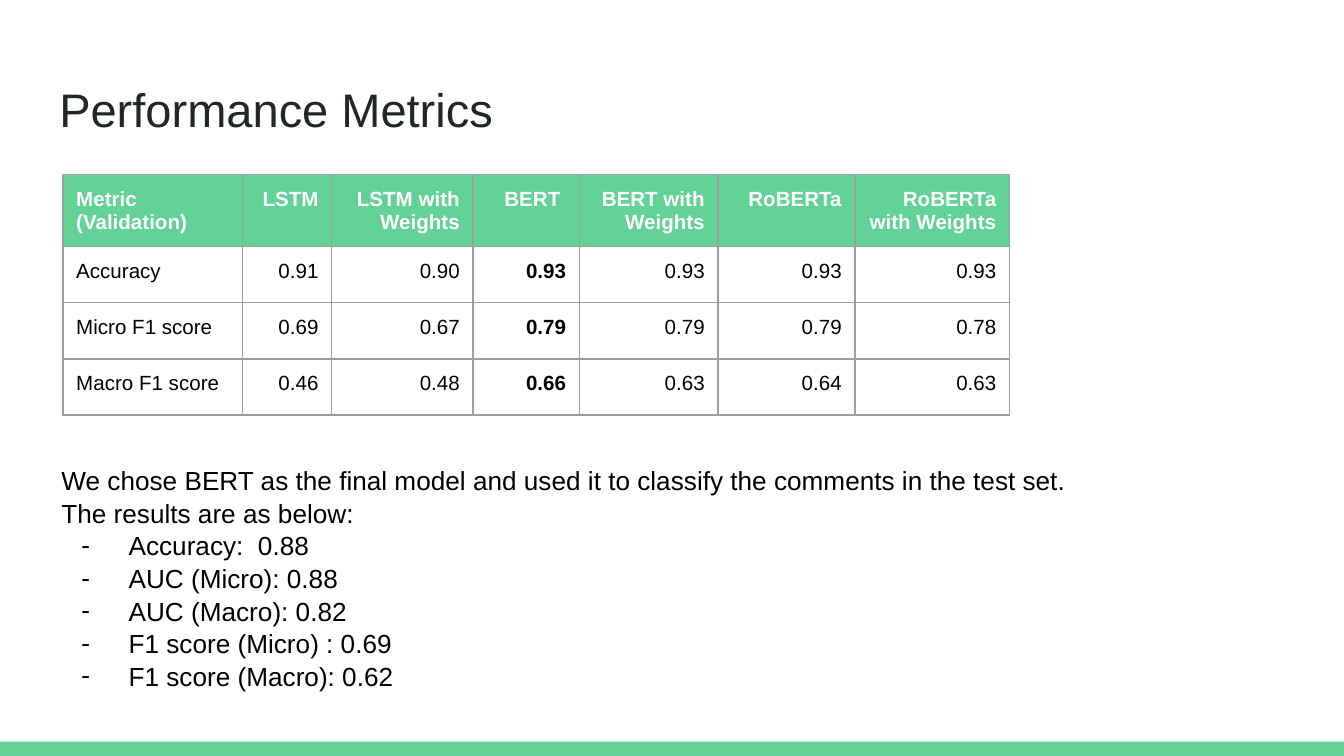
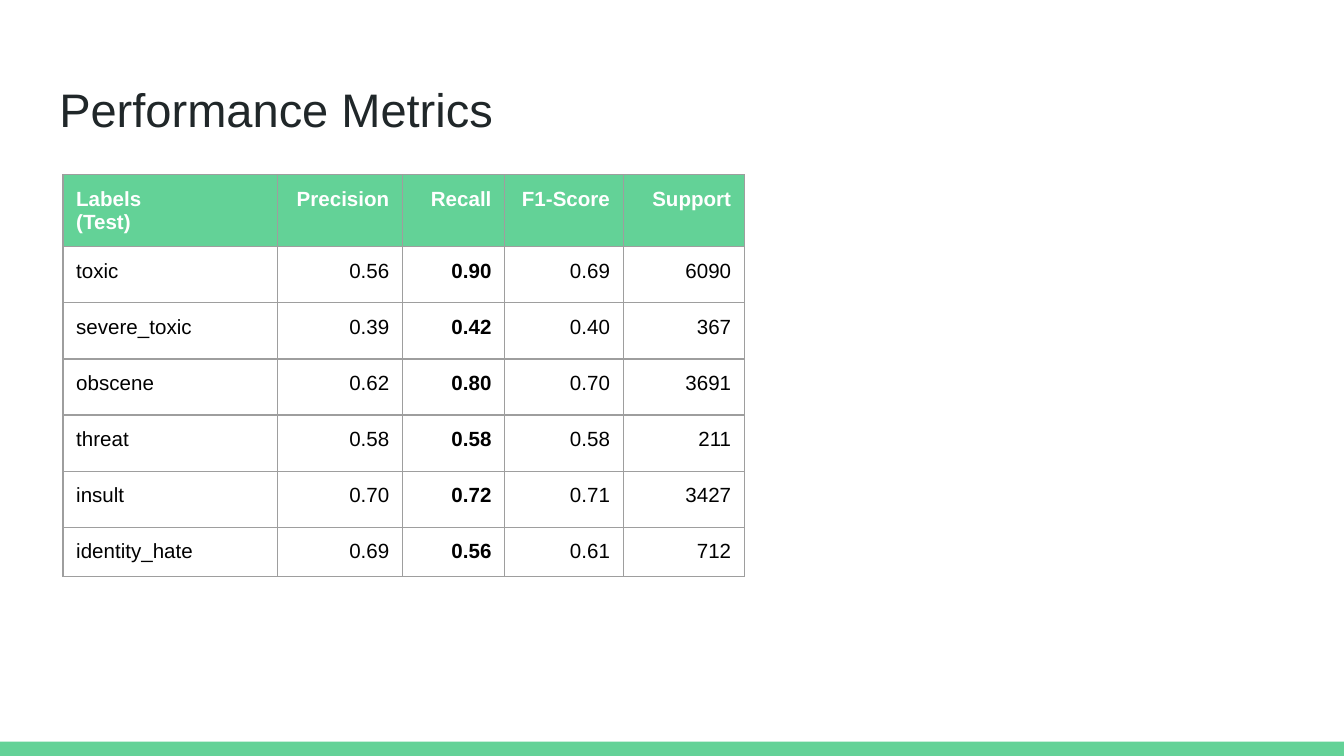
from dataclasses import dataclass
from typing import Sequence

from lxml.etree import SubElement
from pptx import Presentation
from pptx.dml.color import RGBColor
from pptx.enum.shapes import MSO_SHAPE
from pptx.enum.text import MSO_ANCHOR, MSO_AUTO_SIZE, PP_ALIGN
from pptx.oxml.ns import qn
from pptx.util import Cm, Pt

FONT = "Arial"
GREEN, GRAY, INK, BLACK, WHITE = "63D297", "9E9E9E", "202729", "000000", "FFFFFF"
INSET = Cm(0.25)
ROW = 1.06


@dataclass
class Grid:
    head: Sequence[str]
    rows: Sequence[Sequence[str]]
    widths: Sequence[float]
    strong: int
    last: float = ROW


@dataclass
class Page:
    title: str
    grid: Grid
    intro: str = ""
    items: Sequence[str] = ()


PAGES = [
    Page(
        "Performance Metrics",
        Grid(
            ["Metric\n(Validation)", "LSTM", "LSTM with Weights", "BERT ",
             "BERT with Weights", "RoBERTa", "RoBERTa with Weights"],
            [["Accuracy", "0.91", "0.90", "0.93", "0.93", "0.93", "0.93"],
             ["Micro F1 score", "0.69", "0.67", "0.79", "0.79", "0.79", "0.78"],
             ["Macro F1 score", "0.46", "0.48", "0.66", "0.63", "0.64", "0.63"]],
            [3.4, 1.68, 2.67, 2.01, 2.62, 2.59, 2.92],
            strong=3,
        ),
        "We chose BERT as the final model and used it to classify the comments "
        "in the test set. The results are as below:",
        ["Accuracy:  0.88", "AUC (Micro): 0.88", "AUC (Macro): 0.82",
         "F1 score (Micro) : 0.69", "F1 score (Macro): 0.62"],
    ),
    Page(
        "Performance Metrics",
        Grid(
            ["Labels\n(Test)", "Precision", "Recall", "F1-Score ", "Support"],
            [["toxic", "0.56", "0.90", "0.69", "6090"],
             ["severe_toxic", "0.39", "0.42", "0.40", "367"],
             ["obscene", "0.62", "0.80", "0.70", "3691"],
             ["threat", "0.58", "0.58", "0.58", "211"],
             ["insult", "0.70", "0.72", "0.71", "3427"],
             ["identity_hate", "0.69", "0.56", "0.61", "712"]],
            [4.06, 2.36, 1.93, 2.24, 2.29],
            strong=2,
            last=0.28,
        ),
    ),
]


def tint(code: str) -> RGBColor:
    """Turn a hex string into a colour."""
    return RGBColor.from_string(code)


def write(frame, text: str, *, size: float, color: str = BLACK, bold: bool = False,
          align=PP_ALIGN.LEFT, anchor=MSO_ANCHOR.TOP, pitch: float = 1.0) -> None:
    """Fill a text frame, one paragraph to a line of text."""
    frame.word_wrap = True
    frame.vertical_anchor = anchor
    frame.text = text
    for para in frame.paragraphs:
        para.alignment = align
        para.line_spacing = pitch
        para.space_before = Pt(0)
        for run in para.runs:
            font = run.font
            font.name, font.size, font.bold = FONT, Pt(size), bold
            font.color.rgb = tint(color)


def place(shape, left: float, top: float, width: float, height: float) -> None:
    """Move a placeholder and give it the shared insets."""
    shape.left, shape.top = Cm(left), Cm(top)
    shape.width, shape.height = Cm(width), Cm(height)
    frame = shape.text_frame
    frame.auto_size = MSO_AUTO_SIZE.NONE
    frame.margin_left = frame.margin_right = INSET
    frame.margin_top = frame.margin_bottom = INSET


def dash(para, shown: bool) -> None:
    """Give a paragraph a dash bullet, or none."""
    props = para._p.get_or_add_pPr()
    props.set("marL", str(Cm(1.27) if shown else 0))
    props.set("indent", str(-Cm(0.89) if shown else 0))
    if shown:
        hue = SubElement(props, qn("a:buClr"))
        SubElement(hue, qn("a:srgbClr"), val=BLACK)
        SubElement(props, qn("a:buFont"), typeface=FONT)
        SubElement(props, qn("a:buChar"), char="-")
    else:
        SubElement(props, qn("a:buNone"))


def edge(cell) -> None:
    """Draw the four borders of a cell."""
    props = cell._tc.get_or_add_tcPr()
    for spot, side in enumerate(("lnL", "lnR", "lnT", "lnB")):
        line = SubElement(props, qn(f"a:{side}"), w=str(Pt(0.75)))
        props.insert(spot, line)
        fill = SubElement(line, qn("a:solidFill"))
        SubElement(fill, qn("a:srgbClr"), val=GRAY)


def draw_grid(slide, grid: Grid) -> None:
    """Add a table of scores under a green heading row."""
    rows = [grid.head, *grid.rows]
    table = slide.shapes.add_table(
        len(rows), len(grid.head), Cm(1.19), Cm(3.3),
        Cm(sum(grid.widths)), Cm(ROW * len(rows))).table
    table.first_row = table.horz_banding = False
    for col, width in zip(table.columns, grid.widths):
        col.width = Cm(width)
    for row in table.rows:
        row.height = Cm(ROW)
    table.rows[len(rows) - 1].height = Cm(grid.last)
    for r, texts in enumerate(rows):
        for c, text in enumerate(texts):
            cell = table.cell(r, c)
            head = r == 0
            cell.margin_left = cell.margin_right = INSET
            cell.margin_top = cell.margin_bottom = INSET
            cell.fill.solid()
            cell.fill.fore_color.rgb = tint(GREEN if head else WHITE)
            write(cell.text_frame, text, size=11,
                  color=WHITE if head else BLACK,
                  bold=head or c == grid.strong,
                  align=PP_ALIGN.RIGHT if c else PP_ALIGN.LEFT)
            edge(cell)


def draw_band(deck, slide) -> None:
    """Add the green band along the foot of a slide."""
    top = Cm(14.02)
    band = slide.shapes.add_shape(
        MSO_SHAPE.RECTANGLE, 0, top, deck.slide_width, deck.slide_height - top)
    band.shadow.inherit = False
    band.fill.solid()
    band.fill.fore_color.rgb = tint(GREEN)
    band.line.fill.background()


def draw_list(slide, page: Page) -> None:
    """Fill the body with an intro and its dashed items."""
    body = slide.placeholders[1]
    place(body, 0.91, 8.51, 19.96, 5.31)
    write(body.text_frame, "\n".join([page.intro, *page.items]), size=14, pitch=1.04)
    for spot, para in enumerate(body.text_frame.paragraphs):
        dash(para, spot > 0)


def draw_page(deck, page: Page) -> None:
    """Build one slide."""
    slide = deck.slides.add_slide(deck.slide_layouts[1 if page.items else 5])
    draw_band(deck, slide)
    title = slide.shapes.title
    place(title, 0.87, 1.24, 23.67, 1.6)
    write(title.text_frame, page.title, size=25.2, color=INK, anchor=MSO_ANCHOR.BOTTOM)
    draw_grid(slide, page.grid)
    if page.items:
        draw_list(slide, page)


def main() -> None:
    """Build the deck and save it."""
    deck = Presentation()
    deck.slide_width, deck.slide_height = Cm(25.4), Cm(14.29)
    for page in PAGES:
        draw_page(deck, page)
    deck.save("out.pptx")


if __name__ == "__main__":
    main()
